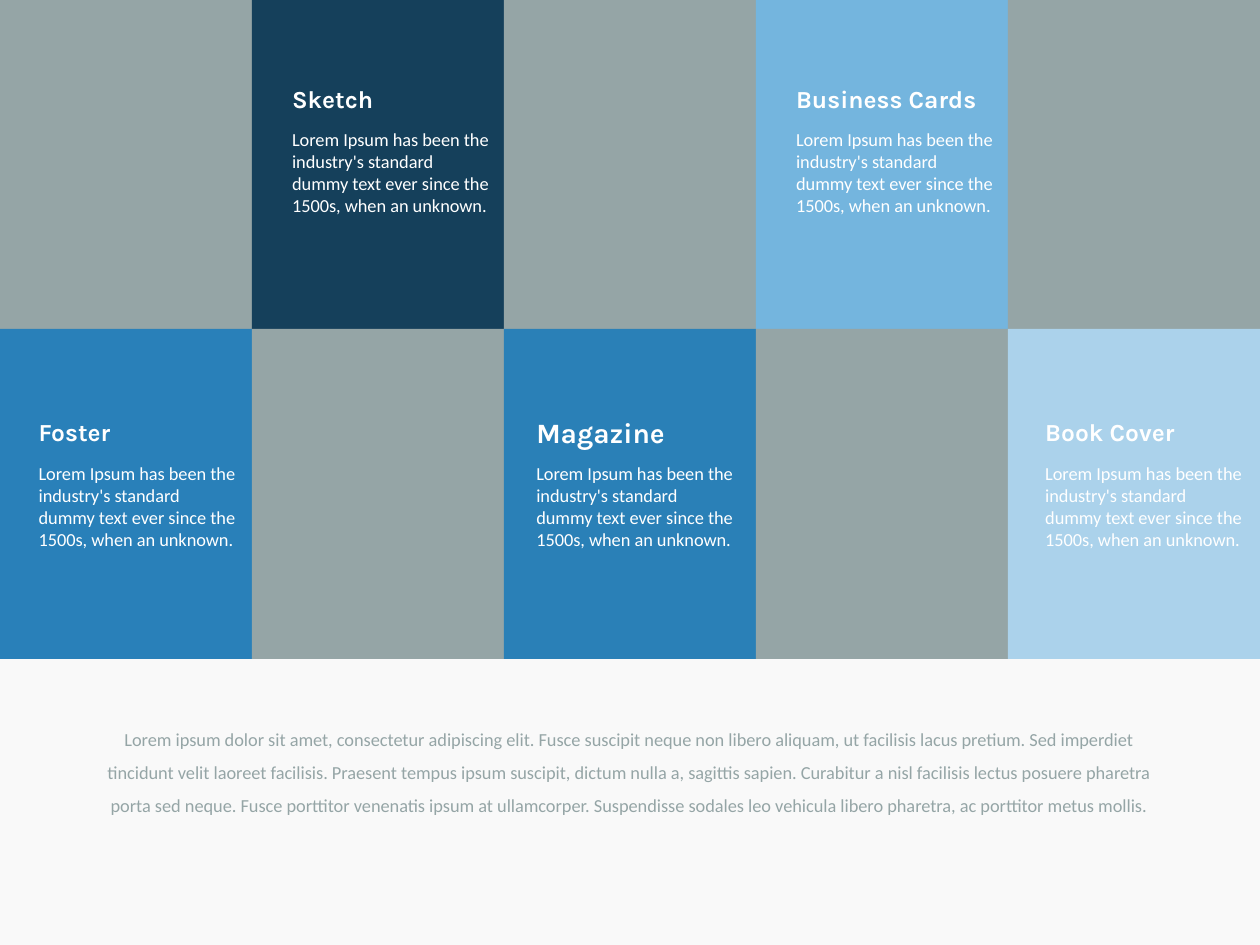
"""Build a checkerboard portfolio slide with five captioned columns."""
from dataclasses import dataclass

from pptx import Presentation
from pptx.dml.color import RGBColor
from pptx.enum.shapes import MSO_SHAPE
from pptx.enum.text import MSO_ANCHOR, PP_ALIGN
from pptx.util import Pt


@dataclass(frozen=True)
class Theme:
    paper: str = "F9F9F9"
    gray: str = "95A5A6"
    white: str = "FFFFFF"
    blue: str = "2980B9"
    navy: str = "15405B"
    ocean: str = "2A80B7"
    sky: str = "74B5DE"
    pale: str = "ABD2EB"
    head: str = "Karla"
    body: str = "Calibri"
    small: float = 10.5
    title: float = 14
    large: float = 16


class Deck:
    def __init__(self, theme):
        self.theme = theme
        self.file = Presentation()
        self.file.slide_width, self.file.slide_height = Pt(720), Pt(540)
        self.slide = self.file.slides.add_slide(self.file.slide_layouts[6])
        fill = self.slide.background.fill
        fill.solid()
        fill.fore_color.rgb = RGBColor.from_string(theme.paper)

    def group(self):
        return self.slide.shapes.add_group_shape().shapes

    def tile(self, home, box, color):
        shape = home.add_shape(MSO_SHAPE.RECTANGLE, *map(Pt, box))
        shape.shadow.inherit = False
        shape.fill.solid()
        shape.fill.fore_color.rgb = RGBColor.from_string(color)
        shape.line.fill.background()

    def text(self, home, box, words, size, color, face, bold=False,
             anchor=MSO_ANCHOR.TOP, align=PP_ALIGN.LEFT, lead=None):
        frame = home.add_textbox(*map(Pt, box)).text_frame
        frame.word_wrap = True
        frame.vertical_anchor = anchor
        para = frame.paragraphs[0]
        para.text = words
        para.alignment = align
        para.line_spacing = lead
        font = para.font
        font.name, font.size, font.bold = face, Pt(size), bold
        font.color.rgb = RGBColor.from_string(color)

    def column(self, index, name, row, color, left, size):
        look, home = self.theme, self.group()
        for step in range(2):
            box = (index * WIDE, TOP + step * TALL, WIDE, TALL)
            self.tile(home, box, color if step == row else look.gray)
        top = HEADS[row]
        self.text(home, (left, top + 31, 127.44, 82), BLURB,
                  look.small, look.white, look.body)
        self.text(home, (left, top, 127.44, 34.56), name, size, look.white,
                  look.head, bold=True, anchor=MSO_ANCHOR.MIDDLE)


WIDE, TALL, TOP = 144, 188.64, -0.72
HEADS = (38.88, 229.68)
BLURB = ("Lorem Ipsum has been the industry's standard dummy text ever "
         "since the 1500s, when an unknown.")
CLOSING = (
    "Lorem ipsum dolor sit amet, consectetur adipiscing elit. Fusce suscipit "
    "neque non libero aliquam, ut facilisis lacus pretium. Sed imperdiet "
    "tincidunt velit laoreet facilisis. Praesent tempus ipsum suscipit, "
    "dictum nulla a, sagittis sapien. Curabitur a nisl facilisis lectus "
    "posuere pharetra porta sed neque. Fusce porttitor venenatis ipsum at "
    "ullamcorper. Suspendisse sodales leo vehicula libero pharetra, ac "
    "porttitor metus mollis.")


def main():
    look = Theme()
    deck = Deck(look)
    columns = (
        ("Foster", 1, look.blue, 15, look.title),
        ("Sketch", 0, look.navy, 159.84, look.title),
        ("Magazine", 1, look.ocean, 299.4, look.large),
        ("Business Cards", 0, look.sky, 447.84, look.title),
        ("Book Cover", 1, look.pale, 590.2, look.title),
    )
    for index, column in enumerate(columns):
        deck.column(index, *column)
    deck.text(deck.slide.shapes, (47.52, 406, 624.24, 85.68), CLOSING,
              look.small, look.gray, look.body,
              align=PP_ALIGN.CENTER, lead=1.5)
    deck.file.save("out.pptx")


if __name__ == "__main__":
    main()
